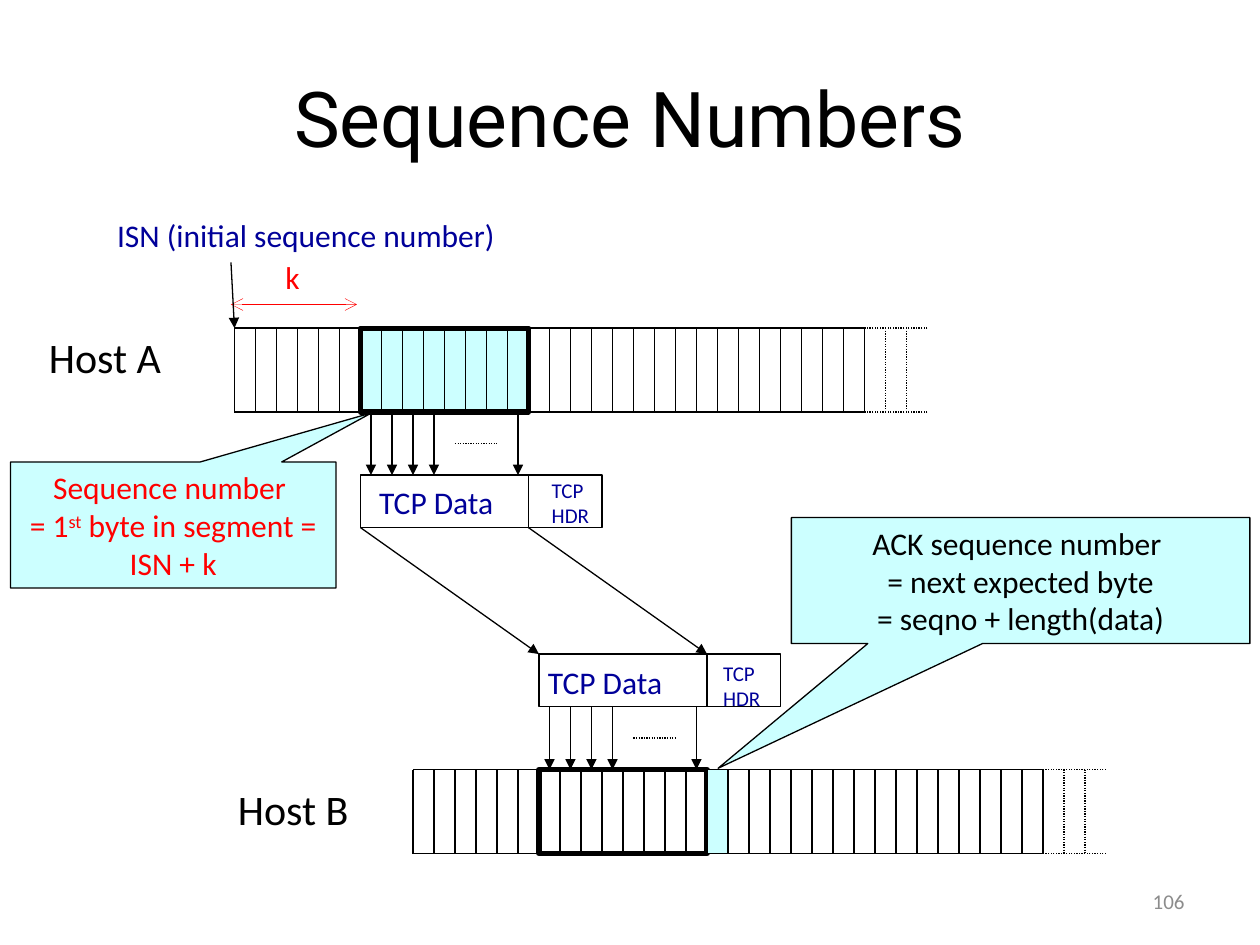
"""Build the TCP sequence numbers slide."""
from dataclasses import dataclass
from typing import Any

from lxml.etree import SubElement
from pptx import Presentation
from pptx.dml.color import RGBColor
from pptx.enum.dml import MSO_LINE
from pptx.enum.shapes import MSO_CONNECTOR, MSO_SHAPE
from pptx.enum.text import MSO_ANCHOR, MSO_AUTO_SIZE as AutoSize, PP_ALIGN as Align
from pptx.oxml.ns import qn
from pptx.util import Pt

BLACK, WHITE, RED = "000000", "FFFFFF", "FF0000"
NAVY, CYAN, GRAY = "000099", "CCFFFF", "8C8C8C"
CELL, ROW_HEIGHT = 12, 48
CELLS, DOTTED_CELLS = 30, 3
SEGMENT_START, SEGMENT_CELLS = 6, 8
SEGMENT_WIDTH = SEGMENT_CELLS * CELL
PACKET_HEIGHT, HEADER_WIDTH = 30, 42
MAPPED_BYTES = (0, 1, 2, 3, 7)


def rgb(color):
    return RGBColor.from_string(color)


def write(frame, text, *, size=18, color=BLACK, font="Calibri", align=Align.LEFT,
          anchor=MSO_ANCHOR.TOP, superscript="", ending=""):
    frame.text = text
    frame.vertical_anchor = anchor
    if superscript:
        raised = frame.paragraphs[-1].add_run()
        raised.text = superscript
        raised.font._element.set("baseline", "30000")
        frame.paragraphs[-1].add_run().text = ending
    for paragraph in frame.paragraphs:
        paragraph.alignment = align
        for run in paragraph.runs:
            run.font.size, run.font.name = Pt(size), font
            run.font.color.rgb = rgb(color)


@dataclass
class Diagram:
    slide: Any
    thin: float = 0.75
    thick: float = 3

    def title(self, text, left, top, width, height):
        heading = self.slide.shapes.title
        heading.left, heading.top = Pt(left), Pt(top)
        heading.width, heading.height = Pt(width), Pt(height)
        write(heading.text_frame, text, size=44, font="Roboto",
              align=Align.CENTER, anchor=MSO_ANCHOR.MIDDLE)

    def label(self, text, left, top, width, height, wrap=False, **style):
        frame = self.slide.shapes.add_textbox(
            Pt(left), Pt(top), Pt(width), Pt(height)).text_frame
        frame.word_wrap = wrap
        frame.auto_size = AutoSize.NONE if wrap else AutoSize.SHAPE_TO_FIT_TEXT
        write(frame, text, **style)

    def box(self, left, top, width, height, fill=None, weight=None,
            kind=MSO_SHAPE.RECTANGLE):
        shape = self.slide.shapes.add_shape(
            kind, Pt(left), Pt(top), Pt(width), Pt(height))
        shape.shadow.inherit = False
        if fill:
            shape.fill.solid()
            shape.fill.fore_color.rgb = rgb(fill)
        else:
            shape.fill.background()
        shape.line.color.rgb = rgb(BLACK)
        shape.line.width = Pt(weight or self.thin)
        return shape

    def callout(self, text, left, top, width, height, pointer, **style):
        bubble = self.box(left, top, width, height, CYAN,
                          kind=MSO_SHAPE.RECTANGULAR_CALLOUT)
        bubble.adjustments[0], bubble.adjustments[1] = pointer
        write(bubble.text_frame, text, align=Align.CENTER, **style)

    def line(self, x1, y1, x2, y2, color=BLACK, weight=None, dotted=False,
             head=None, tail=None, shapes=None):
        connector = (shapes or self.slide.shapes).add_connector(
            MSO_CONNECTOR.STRAIGHT, Pt(x1), Pt(y1), Pt(x2), Pt(y2))
        connector.line.color.rgb = rgb(color)
        connector.line.width = Pt(weight or self.thin)
        if dotted:
            connector.line.dash_style = MSO_LINE.ROUND_DOT
        properties = connector._element.spPr
        outline = properties.find(qn("a:ln"))
        for tag, arrow in (("a:headEnd", head), ("a:tailEnd", tail)):
            if arrow:
                SubElement(outline, qn(tag), type=arrow)
        SubElement(properties, qn("a:effectLst"))

    def byte_row(self, left, top):
        solid_end = left + CELLS * CELL
        dotted_end = solid_end + DOTTED_CELLS * CELL
        bottom = top + ROW_HEIGHT
        rails = self.slide.shapes.add_group_shape().shapes
        for start, end, dotted in ((left, solid_end, False),
                                   (dotted_end, solid_end, True)):
            for y in (top, bottom):
                self.line(start, y, end, y, dotted=dotted, shapes=rails)
        for index in range(CELLS + DOTTED_CELLS):
            x = left + index * CELL
            self.line(x, top, x, bottom, dotted=index > CELLS)

    def byte_arrows(self, left, top, bottom):
        for index in MAPPED_BYTES:
            x = left + (index + 0.5) * CELL
            self.line(x, top, x, bottom, tail="triangle")
        middle = (top + bottom) / 2
        self.line(left + 4.5 * CELL, middle, left + 6.5 * CELL, middle, dotted=True)


def main():
    deck = Presentation()
    deck.slide_width, deck.slide_height = Pt(720), Pt(540)
    diagram = Diagram(deck.slides.add_slide(deck.slide_layouts[5]))

    host_a, row_a, packet_a = 134, 187.5, 271.5
    host_b, row_b, packet_b = 236, 439.75, 373.75
    segment_a, segment_b = (host + SEGMENT_START * CELL for host in (host_a, host_b))
    header_a, header_b = segment_a + SEGMENT_WIDTH, segment_b + SEGMENT_WIDTH

    diagram.box(segment_a, row_a, SEGMENT_WIDTH, ROW_HEIGHT, CYAN, diagram.thick)
    diagram.title("Sequence Numbers", 36, 21.6, 648, 90)
    diagram.byte_row(host_a, row_a)
    diagram.byte_row(host_b, row_b)
    diagram.label("Host B", 128.9, 444.2, 87, 36, size=24)

    for segment, packet in ((segment_a, packet_a), (segment_b, packet_b)):
        diagram.box(segment, packet, SEGMENT_WIDTH, PACKET_HEIGHT, WHITE)
    for sent, received in ((segment_a, segment_b), (header_a, header_b)):
        diagram.line(sent, packet_a + PACKET_HEIGHT, received, packet_b,
                     tail="triangle")
    diagram.byte_arrows(segment_a, row_a + ROW_HEIGHT, packet_a)
    diagram.byte_arrows(segment_b, packet_b + PACKET_HEIGHT, row_b)

    for left, top in ((209.5, 272.2), (306, 375.1)):
        diagram.label("TCP Data", left, top, 94.3, 28.8, color=NAVY)
    for header, packet, left, top in ((header_a, packet_a, 308.2, 269.3),
                                      (header_b, packet_b, 406.1, 373.7)):
        diagram.box(header, packet, HEADER_WIDTH, PACKET_HEIGHT, WHITE)
        diagram.label("TCP\nHDR", left, top, 41, 36, size=12, color=NAVY)

    diagram.box(segment_b, row_b, SEGMENT_WIDTH, ROW_HEIGHT, weight=diagram.thick)
    diagram.callout("ACK sequence number \n= next expected byte\n= seqno + length(data)",
                    452.2, 295.8, 262, 72, (-0.66, 1.49))
    diagram.box(header_b, row_b, CELL, ROW_HEIGHT, CYAN)
    diagram.label("Host A", 20.9, 185.8, 86.4, 36, size=24)
    diagram.label("ISN (initial sequence number)", 59.8, 120.2, 254.2, 28.8, color=NAVY)
    diagram.callout("Sequence number \v= 1", 6, 264, 186, 72, (0.61, -0.89),
                    color=RED, superscript="st", ending=" byte in segment = ISN + k")
    diagram.line(132, 174, 204, 174, RED, 0.25, head="arrow", tail="arrow")
    diagram.line(132, 150, host_a, row_a, tail="triangle")
    diagram.label("k", 156, 144, 26.6, 31.7, color=RED)
    diagram.label("106", 516, 500.5, 168, 28.8, wrap=True, size=12, color=GRAY,
                  align=Align.RIGHT, anchor=MSO_ANCHOR.MIDDLE)
    deck.save("out.pptx")


if __name__ == "__main__":
    main()
